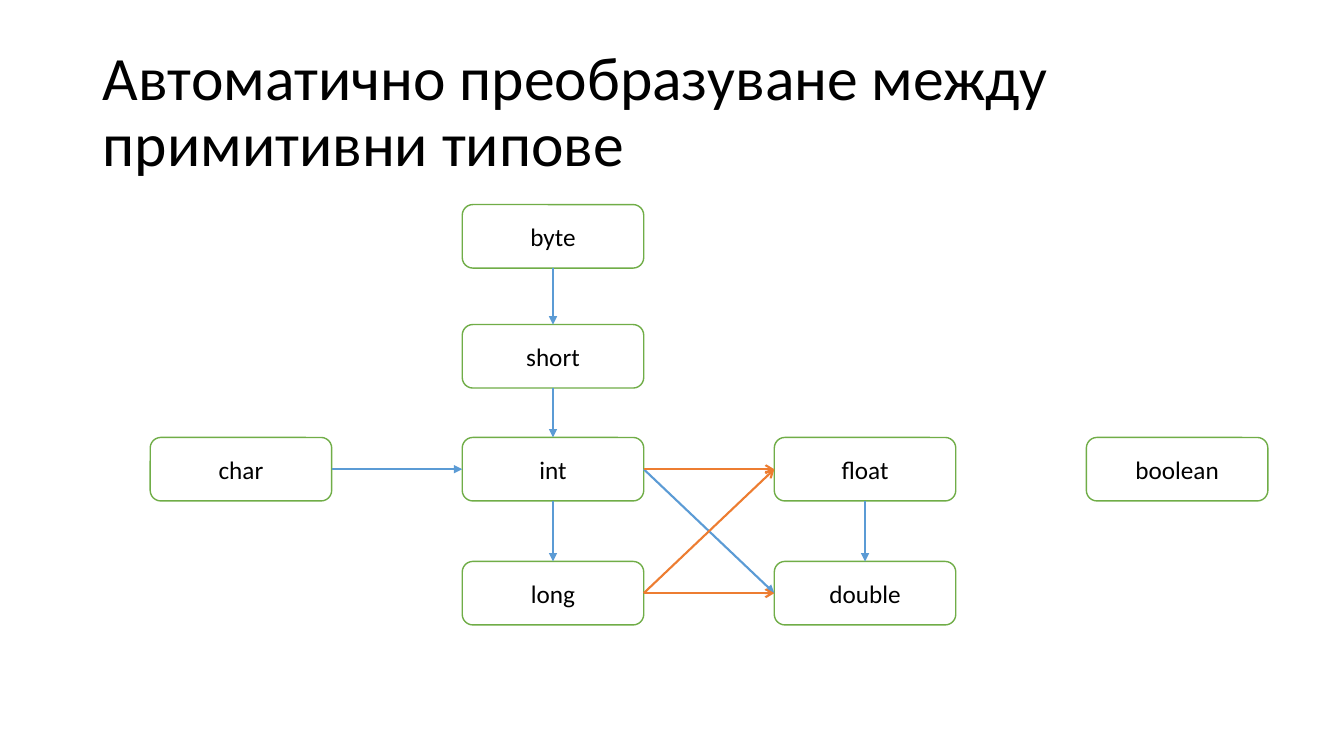
import pptx
import pptx.util
import pptx.dml.color
import pptx.enum.shapes
import pptx.enum.text
import pptx.oxml.ns
import lxml.etree

INCH = pptx.util.Inches
WIDE, HIGH = 13.33, 7.5
FONT = "Calibri"
HUES = {"text": "000000", "fill": "FFFFFF", "edge": "70AD47",
        "safe": "5B9BD5", "loss": "ED7D31"}
HEADS = {"safe": "triangle", "loss": "arrow"}
TOP, LEFT, BASE, RIGHT = range(4)

STEP = 3.095
ROWS = [0, 1.19, 2.31, 3.54]
NODE = (1.8, 0.63)
TYPES = {
    "byte": (1, 0), "short": (1, 1), "int": (1, 2), "long": (1, 3),
    "char": (0, 2), "float": (2, 2), "double": (2, 3), "boolean": (3, 2),
}
LINKS = [
    ("byte", BASE, "short", TOP, "safe"),
    ("short", BASE, "int", TOP, "safe"),
    ("char", RIGHT, "int", LEFT, "safe"),
    ("int", BASE, "long", TOP, "safe"),
    ("int", RIGHT, "double", LEFT, "safe"),
    ("float", BASE, "double", TOP, "safe"),
    ("long", RIGHT, "float", LEFT, "loss"),
    ("int", RIGHT, "float", LEFT, "loss"),
    ("long", RIGHT, "double", LEFT, "loss"),
]


def tint(name):
    return pptx.dml.color.RGBColor.from_string(HUES[name])


def write(frame, text, size, align):
    frame.word_wrap = True
    frame.auto_size = pptx.enum.text.MSO_AUTO_SIZE.NONE
    frame.vertical_anchor = pptx.enum.text.MSO_ANCHOR.MIDDLE
    line = frame.paragraphs[0]
    line.alignment = align
    run = line.add_run()
    run.text = text
    run.font.size = pptx.util.Pt(size)
    run.font.name = FONT
    run.font.color.rgb = tint("text")
    return line


def put_title(slide, box, text):
    title = slide.shapes.title
    title.left, title.top, title.width, title.height = map(INCH, box)
    line = write(title.text_frame, text, 44, pptx.enum.text.PP_ALIGN.LEFT)
    line.line_spacing = 0.9


def add_node(slide, box, text):
    node = slide.shapes.add_shape(
        pptx.enum.shapes.MSO_SHAPE.ROUNDED_RECTANGLE, *map(INCH, box))
    node.shadow.inherit = False
    node.fill.solid()
    node.fill.fore_color.rgb = tint("fill")
    node.line.color.rgb = tint("edge")
    node.line.width = pptx.util.Pt(1)
    write(node.text_frame, text, 18, pptx.enum.text.PP_ALIGN.CENTER)
    return node


def add_link(slide, start, out, end, into, kind):
    link = slide.shapes.add_connector(
        pptx.enum.shapes.MSO_CONNECTOR.STRAIGHT, 0, 0, 0, 0)
    link.begin_connect(start, out)
    link.end_connect(end, into)
    link.line.color.rgb = tint(kind)
    link.line.width = pptx.util.Pt(1.5)
    name = pptx.oxml.ns.qn
    lxml.etree.SubElement(link.line._get_or_add_ln(), name("a:tailEnd"),
                          type=HEADS[kind])
    lxml.etree.SubElement(link._element.spPr, name("a:effectLst"))


def put_graph(slide, box):
    left, top = box
    nodes = {}
    for text, (col, row) in TYPES.items():
        spot = (left + col * STEP, top + ROWS[row], *NODE)
        nodes[text] = add_node(slide, spot, text)
    for start, out, end, into, kind in LINKS:
        add_link(slide, nodes[start], out, nodes[end], into, kind)


def main():
    deck = pptx.Presentation()
    deck.slide_width, deck.slide_height = INCH(WIDE), INCH(HIGH)
    slide = deck.slides.add_slide(deck.slide_layouts[5])
    put_title(slide, (0.92, 0.4, 11.5, 1.45),
              "Автоматично преобразуване между примитивни типове")
    put_graph(slide, (1.49, 2.03))
    deck.save("out.pptx")


if __name__ == "__main__":
    main()
